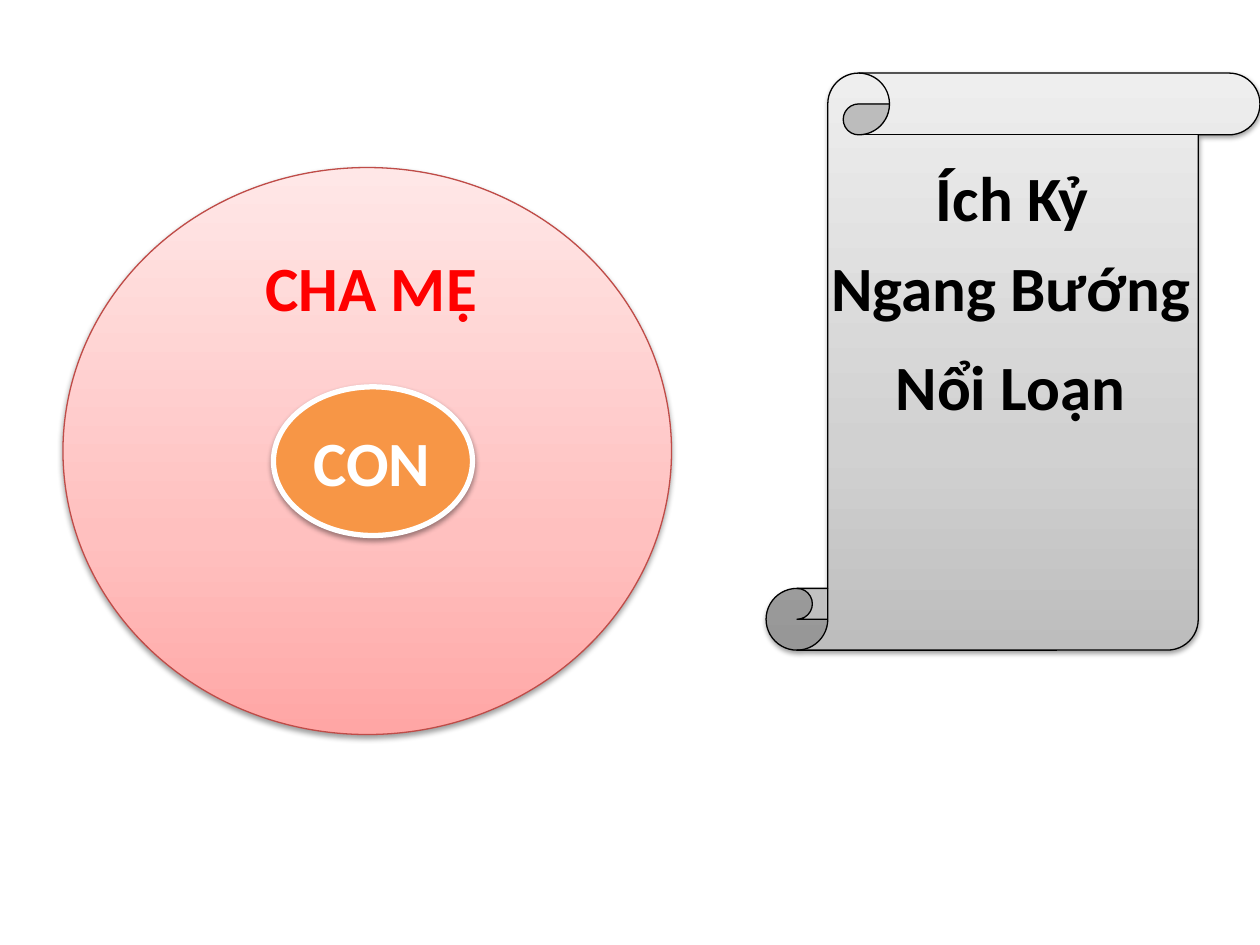
from lxml import etree
from pptx import Presentation
from pptx.dml.color import RGBColor
from pptx.enum.shapes import MSO_SHAPE as Shape
from pptx.enum.text import MSO_AUTO_SIZE as AutoSize
from pptx.oxml.ns import qn
from pptx.util import Inches, Pt

BLACK = RGBColor(0x00, 0x00, 0x00)
WHITE = RGBColor(0xFF, 0xFF, 0xFF)
RED = RGBColor(0xFF, 0x00, 0x00)
ORANGE = RGBColor(0xF7, 0x96, 0x46)
DARK_RED = RGBColor(0xBF, 0x4C, 0x48)
GREYS = [RGBColor(0xBD, 0xBD, 0xBD), RGBColor(0xD1, 0xD1, 0xD1), RGBColor(0xEE, 0xEE, 0xEE)]
PINKS = [RGBColor(0xFF, 0xA6, 0xA5), RGBColor(0xFF, 0xC0, 0xBF), RGBColor(0xFF, 0xE7, 0xE7)]
STOP_PERCENTS = [0, 35, 100]
LABEL_HEIGHT = 0.71


def add_color(parent, color):
    return etree.SubElement(parent, qn("a:srgbClr"), val=str(color))


def fill_gradient(shape, colors):
    """Fill from bottom to top through the three colours."""
    shape.fill.gradient()
    shape.fill.gradient_angle = 90
    stops = shape.element.spPr.find(".//" + qn("a:gsLst"))
    for stop in list(stops):
        stops.remove(stop)
    for percent, color in zip(STOP_PERCENTS, colors):
        add_color(etree.SubElement(stops, qn("a:gs"), pos=str(percent * 1000)), color)


def add_soft_shadow(shape):
    shape.shadow.inherit = False
    effects = shape.element.spPr.find(qn("a:effectLst"))
    shadow = etree.SubElement(
        effects, qn("a:outerShdw"), blurRad=str(Pt(3.1)), dist=str(Pt(1.6)),
        dir="5400000", rotWithShape="0")
    etree.SubElement(add_color(shadow, BLACK), qn("a:alpha"), val="38000")


def add_figure(slide, kind, box, line_color, line_width):
    figure = slide.shapes.add_shape(kind, *map(Inches, box))
    figure.line.color.rgb = line_color
    figure.line.width = Pt(line_width)
    add_soft_shadow(figure)
    return figure


def add_label(slide, text, left, top, width, color):
    label = slide.shapes.add_textbox(*map(Inches, (left, top, width, LABEL_HEIGHT)))
    frame = label.text_frame
    frame.word_wrap = False
    frame.auto_size = AutoSize.SHAPE_TO_FIT_TEXT
    run = frame.paragraphs[0].add_run()
    run.text = text
    for name, value in {"name": "Calibri", "size": Pt(36), "bold": True}.items():
        setattr(run.font, name, value)
    run.font.color.rgb = color


def add_trait_scroll(slide, left, top, width, height):
    scroll = add_figure(slide, Shape.VERTICAL_SCROLL, (left, top, width, height), BLACK, 0.75)
    fill_gradient(scroll, GREYS)
    traits = [("Ích Kỷ", 1.25, 0.63, 1.43),
              ("Ngang Bướng", 0.42, 1.34, 3.08),
              ("Nổi Loạn", 0.93, 2.13, 2.05)]
    for trait, dx, dy, label_width in traits:
        add_label(slide, trait, left + dx, top + dy, label_width, BLACK)


def add_family_circles(slide, left, top, width, height):
    parents = add_figure(slide, Shape.OVAL, (left, top, width, height), DARK_RED, 0.75)
    fill_gradient(parents, PINKS)
    child_box = (left + 1.67, top + 1.74, 1.58, 1.18)
    child = add_figure(slide, Shape.FLOWCHART_CONNECTOR, child_box, WHITE, 3)
    child.fill.solid()
    child.fill.fore_color.rgb = ORANGE
    add_label(slide, "CHA MẸ", left + 1.51, top + 0.59, 1.9, RED)
    add_label(slide, "CON", left + 1.89, top + 1.98, 1.14, WHITE)


def main():
    deck = Presentation()
    deck.slide_width, deck.slide_height = Inches(10), Inches(7.5)
    slide = deck.slides.add_slide(deck.slide_layouts[6])
    add_trait_scroll(slide, 6.08, 0.58, 3.92, 4.58)
    add_family_circles(slide, 0.5, 1.33, 4.83, 4.5)
    deck.save("out.pptx")


if __name__ == "__main__":
    main()
